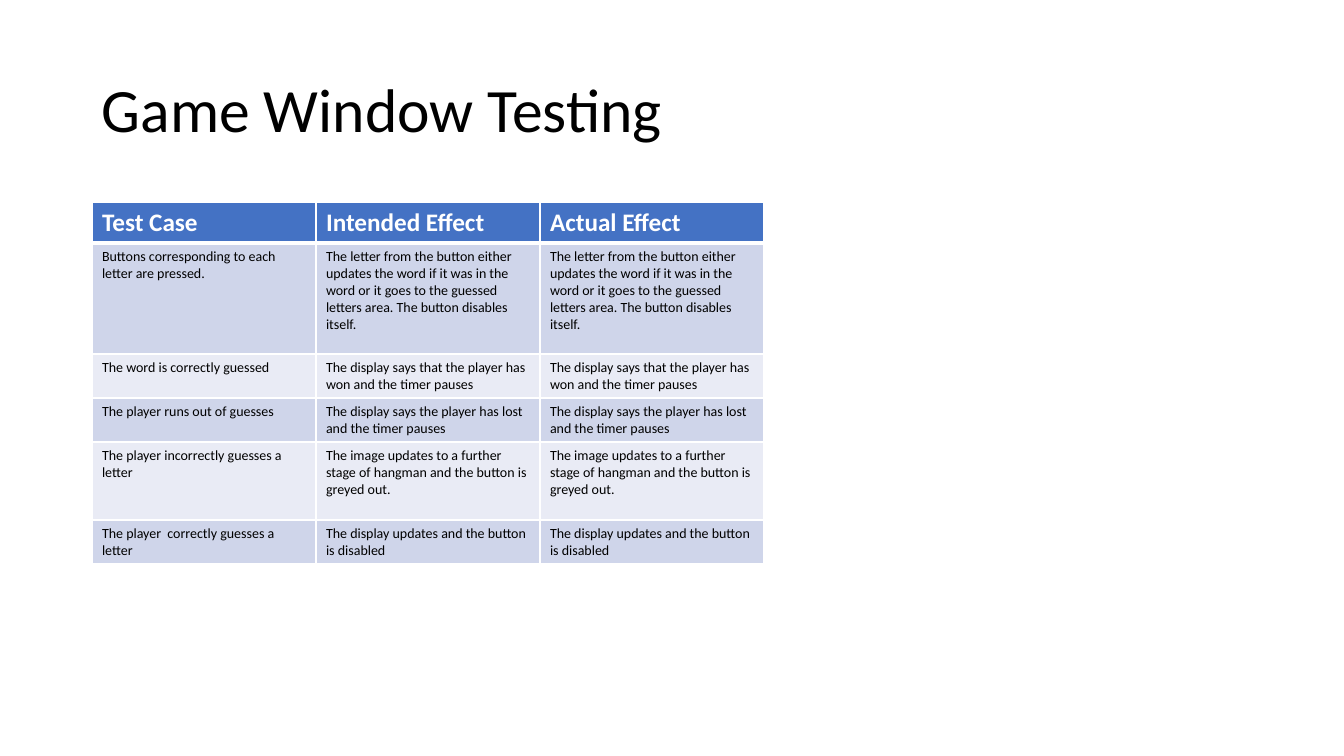
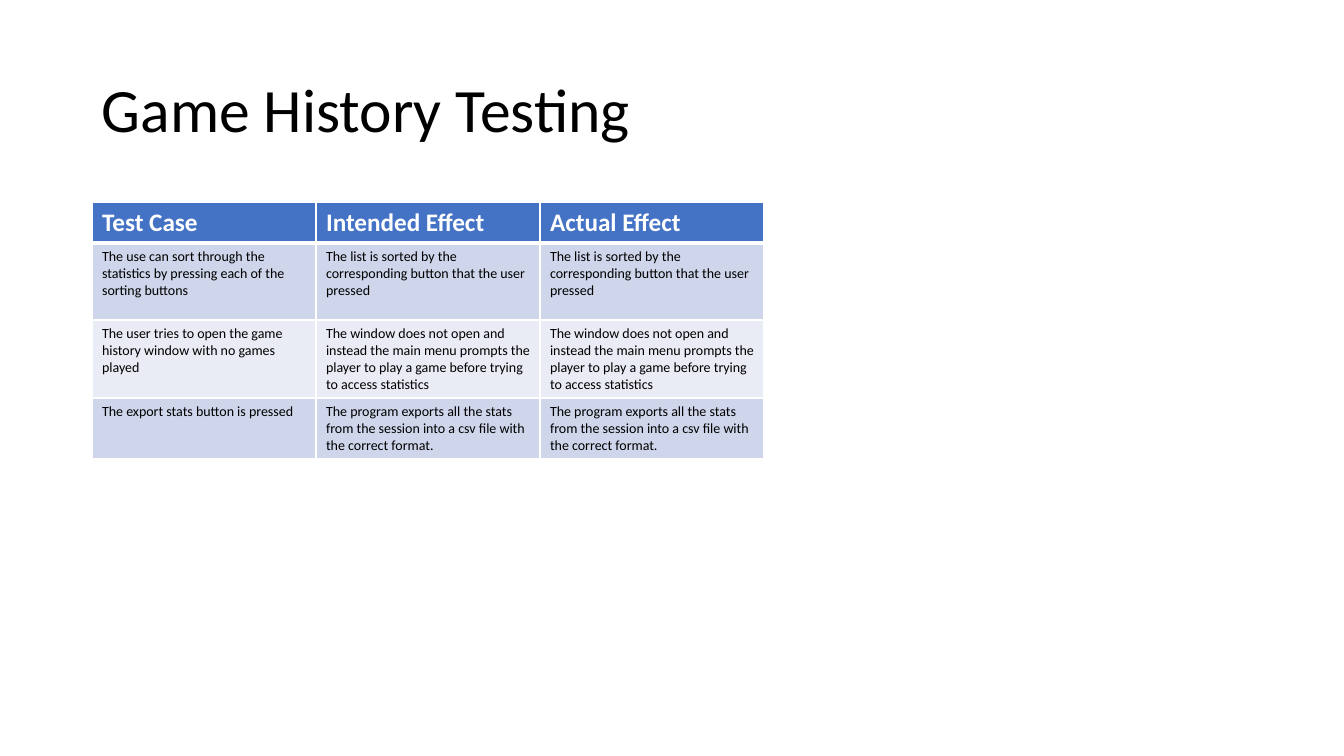
"""Build two slides of test results for a hangman game."""
from lxml import etree
from pptx import Presentation, util as u
from pptx.dml.color import RGBColor
from pptx.enum import text
from pptx.oxml import ns

PX = 914400 / 100.8
FONT = "Calibri"
COLOURS = {
    "page": "FFFFFF",
    "title": "000000",
    "header": "4472C4",
    "header_text": "FFFFFF",
    "odd_row": "CFD5EA",
    "even_row": "E9EBF5",
    "body_text": "000000",
    "border": "FFFFFF",
}
LEFT = 92
TITLE_BOX = (LEFT, 40, 1159, 146)
TABLE_TOP = 202
COLUMN_WIDTH = 224
HEADER_HEIGHT = 41
HEADINGS = ("Test Case", "Intended Effect", "Actual Effect")

WINDOW_TESTS = [
    ("Buttons corresponding to each letter are pressed.",
     "The letter from the button either updates the word if it was in the word "
     "or it goes to the guessed letters area. The button disables itself.", 111),
    ("The word is correctly guessed",
     "The display says that the player has won and the timer pauses", 44),
    ("The player runs out of guesses",
     "The display says the player has lost and the timer pauses", 44),
    ("The player incorrectly guesses a letter",
     "The image updates to a further stage of hangman and the button is greyed out.", 78),
    ("The player  correctly guesses a letter",
     "The display updates and the button is disabled", 44),
]
HISTORY_TESTS = [
    ("The use can sort through the statistics by pressing each of the sorting buttons",
     "The list is sorted by the corresponding button that the user pressed", 77),
    ("The user tries to open the game history window with no games played",
     "The window does not open and instead the main menu prompts the player "
     "to play a game before trying to access statistics", 78),
    ("The export stats button is pressed",
     "The program exports all the stats from the session into a csv file "
     "with the correct format.", 61),
]


def px(length):
    """Turn px into EMU."""
    return u.Emu(round(length * PX))


def colour(name):
    """Look up a named colour."""
    return RGBColor.from_string(COLOURS[name])


def style_para(para, size, colour_name, bold=False):
    """Set the font of a whole paragraph."""
    para.font.name = FONT
    para.font.size = u.Pt(size)
    para.font.bold = bold
    para.font.color.rgb = colour(colour_name)


def add_title(page, title):
    """Add the slide title."""
    frame = page.shapes.add_textbox(*map(px, TITLE_BOX)).text_frame
    frame.word_wrap = True
    frame.vertical_anchor = text.MSO_ANCHOR.MIDDLE
    para = frame.paragraphs[0]
    para.text = title
    para.line_spacing = 0.9
    style_para(para, 44, "title")


def set_borders(cell, top, bottom):
    """Draw the four cell borders, with side lines of one point."""
    properties = cell._tc.get_or_add_tcPr()
    widths = {"lnL": 1, "lnR": 1, "lnT": top, "lnB": bottom}
    for position, (side, width) in enumerate(widths.items()):
        line = etree.Element(ns.qn(f"a:{side}"), w=str(u.Pt(width)))
        fill = etree.SubElement(line, ns.qn("a:solidFill"))
        etree.SubElement(fill, ns.qn("a:srgbClr"), val=COLOURS["border"])
        properties.insert(position, line)


def fill_cell(cell, words, row):
    """Write and style one cell according to its row."""
    cell.text = words
    cell.fill.solid()
    para = cell.text_frame.paragraphs[0]
    if row == 0:
        cell.fill.fore_color.rgb = colour("header")
        style_para(para, 18, "header_text", bold=True)
    else:
        cell.fill.fore_color.rgb = colour("odd_row" if row % 2 else "even_row")
        style_para(para, 10, "body_text")
    set_borders(cell, top=3 if row == 1 else 1, bottom=3 if row == 0 else 1)


def add_test_table(page, tests):
    """Add a table of tests, each with its actual effect as intended."""
    rows = [(HEADINGS, HEADER_HEIGHT)]
    rows += [((case, effect, effect), height) for case, effect, height in tests]
    width = COLUMN_WIDTH * len(HEADINGS)
    total = sum(height for _, height in rows)
    table = page.shapes.add_table(len(rows), len(HEADINGS), px(LEFT), px(TABLE_TOP),
                                  px(width), px(total)).table
    for column in table.columns:
        column.width = px(COLUMN_WIDTH)
    for row, (entries, height) in enumerate(rows):
        table.rows[row].height = px(height)
        for column, words in enumerate(entries):
            fill_cell(table.cell(row, column), words, row)


def add_test_page(deck, title, tests):
    """Add a slide with a title and a test table."""
    page = deck.slides.add_slide(deck.slide_layouts[6])
    page.background.fill.solid()
    page.background.fill.fore_color.rgb = colour("page")
    add_title(page, title)
    add_test_table(page, tests)


def main():
    """Build and save the deck."""
    deck = Presentation()
    deck.slide_width, deck.slide_height = px(1344), px(756)
    add_test_page(deck, "Game Window Testing", WINDOW_TESTS)
    add_test_page(deck, "Game History Testing", HISTORY_TESTS)
    deck.save("out.pptx")


if __name__ == "__main__":
    main()
